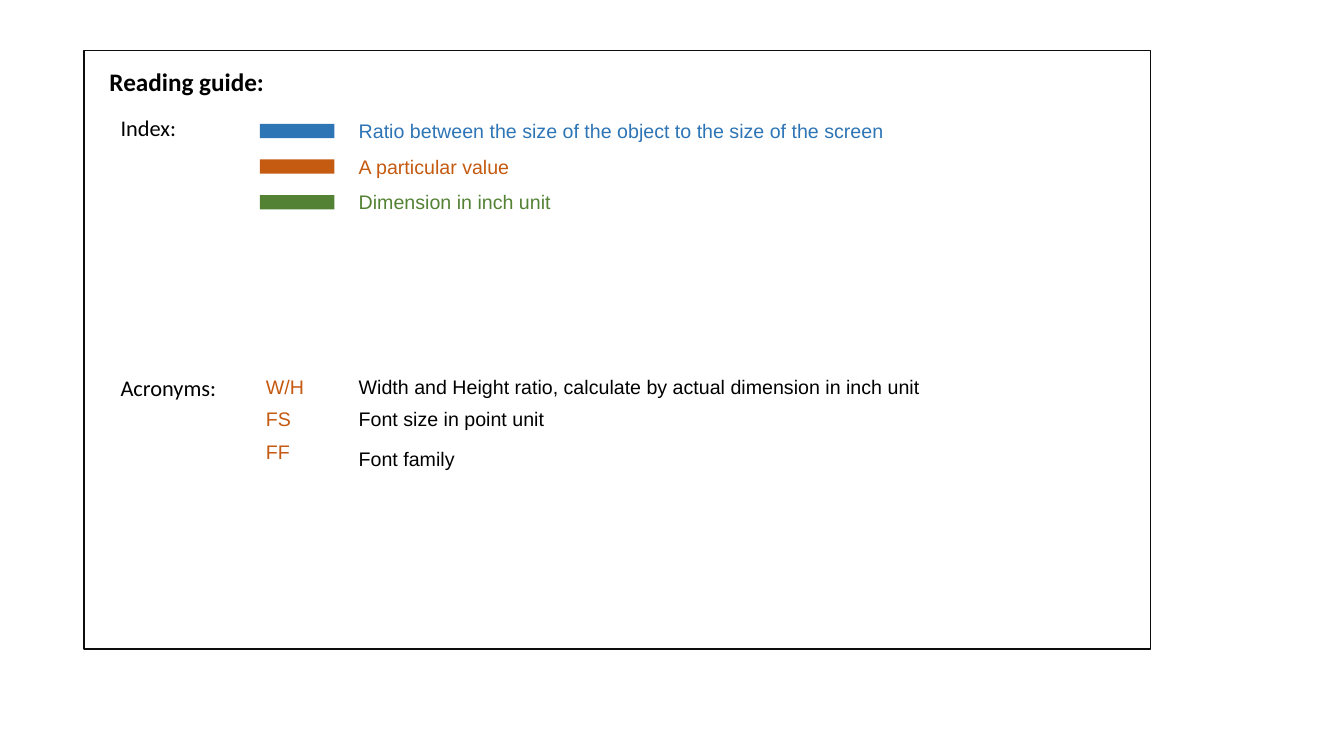
from dataclasses import dataclass

from pptx import Presentation
from pptx import util as u
from pptx.dml.color import RGBColor
from pptx.enum import shapes, text

BLACK = "000000"
BORDER = "0D0D0D"
BLUE = "2E75B6"
ORANGE = "C55A11"
GREEN = "548235"

HEADING_LEFT = 2.79
SWATCH_LEFT, SWATCH_TOP = 6.55, 3.12
SWATCH_WIDTH, SWATCH_HEIGHT = 1.88, 0.36
ACRONYM_LEFT = 6.45
DESCRIPTION_LEFT = 8.79
INDEX_TOP, INDEX_PITCH = 2.87, 0.9


@dataclass(frozen=True)
class Label:
    wording: str
    left: float
    top: float
    width: float
    color: str = BLACK
    font: str = "Arial"
    size: int = 14
    height: float = 0.86
    bold: bool = False


@dataclass(frozen=True)
class IndexEntry:
    meaning: str
    width: float
    color: str


@dataclass(frozen=True)
class Acronym:
    short: str
    short_top: float
    short_width: float
    meaning: str
    meaning_top: float
    meaning_width: float


HEADINGS = [
    Label("Reading guide:", 2.51, 1.55, 4.45, font="Calibri", size=18, height=1.02, bold=True),
    Label("Index:", HEADING_LEFT, 2.74, 1.93, font="Calibri", size=16, height=0.94),
    Label("Acronyms:", HEADING_LEFT, 9.3, 2.95, font="Calibri", size=16, height=0.94),
]
INDEX = [
    IndexEntry("Ratio between the size of the object to the size of the screen", 13.92, BLUE),
    IndexEntry("A particular value", 4.32, ORANGE),
    IndexEntry("Dimension in inch unit", 5.38, GREEN),
]
ACRONYMS = [
    Acronym("W/H", 9.32, 1.47,
            "Width and Height ratio, calculate by actual dimension in inch unit", 9.32, 14.73),
    Acronym("FS", 10.13, 1.14, "Font size in point unit", 10.13, 5.21),
    Acronym("FF", 10.95, 1.12, "Font family", 11.13, 2.95),
]


def rgb(color: str) -> RGBColor:
    return RGBColor.from_string(color)


def add_rectangle(slide, left: float, top: float, width: float, height: float,
                  fill: str | None = None, line: str | None = None) -> None:
    shape = slide.shapes.add_shape(
        shapes.MSO_SHAPE.RECTANGLE, u.Cm(left), u.Cm(top), u.Cm(width), u.Cm(height))
    shape.shadow.inherit = False
    if fill:
        shape.fill.solid()
        shape.fill.fore_color.rgb = rgb(fill)
    else:
        shape.fill.background()
    if line:
        shape.line.color.rgb = rgb(line)
        shape.line.width = u.Pt(1)
    else:
        shape.line.fill.background()


def add_label(slide, label: Label) -> None:
    box = slide.shapes.add_textbox(
        u.Cm(label.left), u.Cm(label.top), u.Cm(label.width), u.Cm(label.height))
    frame = box.text_frame
    frame.word_wrap = False
    frame.auto_size = text.MSO_AUTO_SIZE.SHAPE_TO_FIT_TEXT
    run = frame.paragraphs[0].add_run()
    run.text = label.wording
    run.font.name = label.font
    run.font.size = u.Pt(label.size)
    run.font.bold = label.bold
    run.font.color.rgb = rgb(label.color)


def main() -> None:
    presentation = Presentation()
    presentation.slide_width = u.Cm(33.87)
    presentation.slide_height = u.Cm(19.05)
    slide = presentation.slides.add_slide(presentation.slide_layouts[6])

    add_rectangle(slide, 2.12, 1.27, 26.87, 15.09, line=BORDER)
    for heading in HEADINGS:
        add_label(slide, heading)
    for row, entry in enumerate(INDEX):
        offset = row * INDEX_PITCH
        add_rectangle(slide, SWATCH_LEFT, SWATCH_TOP + offset,
                      SWATCH_WIDTH, SWATCH_HEIGHT, fill=entry.color)
        add_label(slide, Label(entry.meaning, DESCRIPTION_LEFT, INDEX_TOP + offset,
                               entry.width, entry.color))
    for acronym in ACRONYMS:
        add_label(slide, Label(acronym.short, ACRONYM_LEFT, acronym.short_top,
                               acronym.short_width, ORANGE))
        add_label(slide, Label(acronym.meaning, DESCRIPTION_LEFT, acronym.meaning_top,
                               acronym.meaning_width))

    presentation.save("out.pptx")


if __name__ == "__main__":
    main()
